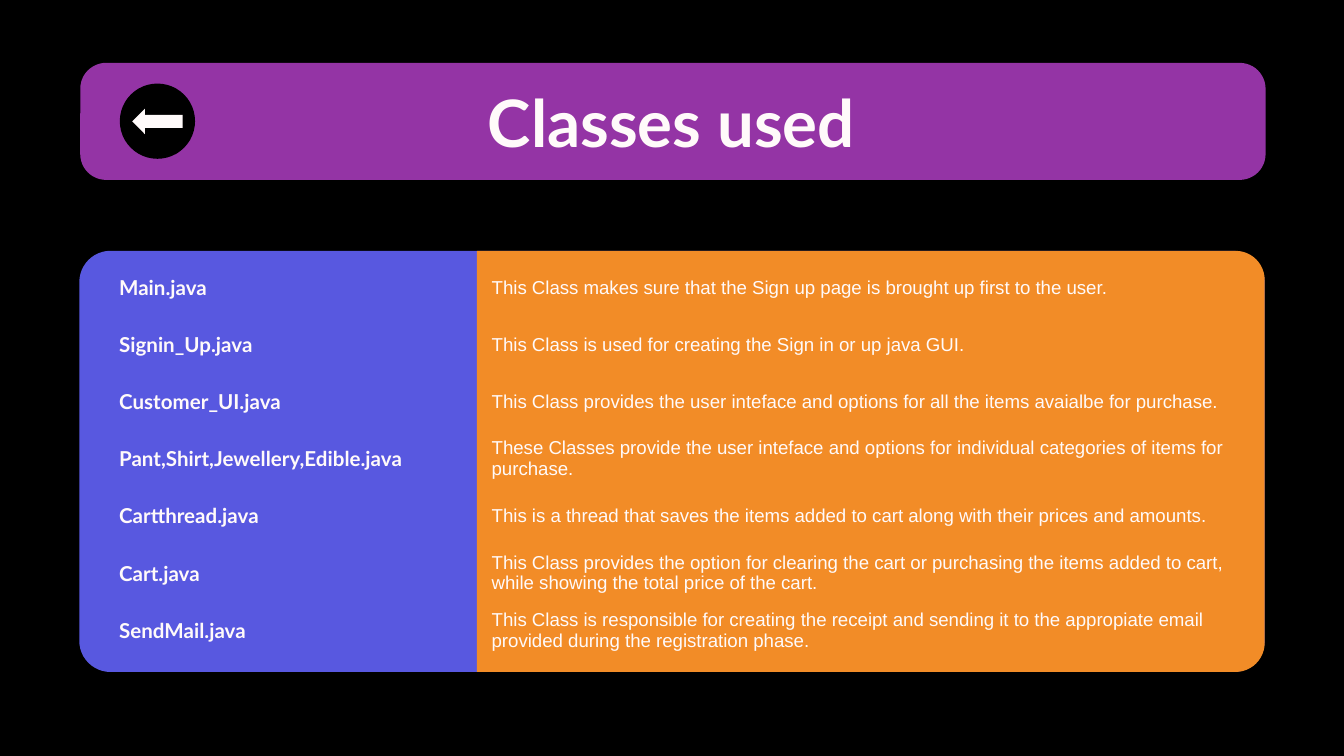
from pptx import Presentation
from pptx.dml.color import RGBColor
from pptx.enum.shapes import MSO_SHAPE as Shape
from pptx.enum.text import MSO_ANCHOR as Anchor, MSO_AUTO_SIZE as AutoSize, PP_ALIGN as Align
from pptx.oxml.ns import qn
from pptx.util import Pt

TITLE = "Classes used"
CLASSES = [
    ("Main.java",
     "This Class makes sure that the Sign up page is brought up first to the user."),
    ("Signin_Up.java",
     "This Class is used for creating the Sign in or up java GUI."),
    ("Customer_UI.java",
     "This Class provides the user inteface and options for all the items avaialbe for purchase."),
    ("Pant,Shirt,Jewellery,Edible.java",
     "These Classes provide the user inteface and options for individual categories of items for purchase."),
    ("Cartthread.java",
     "This is a thread that saves the items added to cart along with their prices and amounts."),
    ("Cart.java",
     "This Class provides the option for clearing the cart or purchasing the items added to cart, "
     "while showing the total price of the cart."),
]
MAIL_CLASS = [
    ("SendMail.java",
     "This Class is responsible for creating the receipt and sending it to the appropiate email "
     "provided during the registration phase."),
]

BLACK = RGBColor(0x00, 0x00, 0x00)
SNOW = RGBColor(0xFF, 0xFA, 0xFA)
PURPLE = RGBColor(0x94, 0x34, 0xA5)
BLUE = RGBColor(0x58, 0x58, 0xE0)
ORANGE = RGBColor(0xF2, 0x8C, 0x27)

TITLE_FONT = {"name": "Lato", "size": Pt(35), "bold": True}
COLUMN_FONTS = [
    {"name": "Lato", "size": Pt(11), "bold": True},
    {"name": "Arial", "size": Pt(10), "bold": False},
]
CELL_FORMAT = {"vertical_anchor": Anchor.MIDDLE, "margin_left": Pt(7.2),
               "margin_right": Pt(7.2), "margin_top": 0, "margin_bottom": 0}
TITLE_FRAME = {"word_wrap": True, "auto_size": AutoSize.NONE, "vertical_anchor": Anchor.TOP,
               "margin_left": Pt(7.2), "margin_right": Pt(7.2),
               "margin_top": Pt(7.2), "margin_bottom": Pt(7.2)}

PANEL_LEFT, PANEL_TOP, PANEL_WIDTH, PANEL_HEIGHT = 42.5, 134.4, 635, 225.6
DESCRIPTION_LEFT = 255.5
TABLE_LEFT, TABLE_TOP, ROW_HEIGHT = 56.6, 138.8, 30.6
COLUMN_WIDTHS = [199.6, 407]
NO_GRID_STYLE = "{2D5ABB26-0587-4C30-8999-92F81FD0307C}"


def set_format(target, values):
    for name, value in values.items():
        setattr(target, name, value)


def write(frame, text, font):
    frame.text = text
    run_font = frame.paragraphs[0].runs[0].font
    set_format(run_font, font)
    run_font.color.rgb = SNOW


def add_filled(shapes, kind, box, color, adjustments=()):
    shape = shapes.add_shape(kind, *map(Pt, box))
    shape.shadow.inherit = False
    shape.fill.solid()
    shape.fill.fore_color.rgb = color
    shape.line.fill.background()
    for index, value in enumerate(adjustments):
        shape.adjustments[index] = value
    return shape


def add_class_table(shapes, rows, top):
    """Add an unfilled, borderless table and return its bottom edge."""
    height = ROW_HEIGHT * len(rows)
    table = shapes.add_table(len(rows), len(COLUMN_WIDTHS), Pt(TABLE_LEFT), Pt(top),
                             Pt(sum(COLUMN_WIDTHS)), Pt(height)).table
    set_format(table, {"first_row": False, "horz_banding": False})
    table._tbl.tblPr.find(qn("a:tableStyleId")).text = NO_GRID_STYLE
    for column, width in zip(table.columns, COLUMN_WIDTHS):
        column.width = Pt(width)
    for r, row in enumerate(rows):
        table.rows[r].height = Pt(ROW_HEIGHT)
        for c, (text, font) in enumerate(zip(row, COLUMN_FONTS)):
            cell = table.cell(r, c)
            cell.fill.background()
            set_format(cell, CELL_FORMAT)
            write(cell.text_frame, text, font)
    return top + height


def main():
    deck = Presentation()
    set_format(deck, {"slide_width": Pt(720), "slide_height": Pt(405)})
    slide = deck.slides.add_slide(deck.slide_layouts[5])
    slide.background.fill.solid()
    slide.background.fill.fore_color.rgb = BLACK
    shapes = slide.shapes

    # Two-colour panel; the orange half is a top-rounded shape turned on its side
    panel = shapes.add_group_shape().shapes
    add_filled(panel, Shape.ROUNDED_RECTANGLE,
               (PANEL_LEFT, PANEL_TOP, PANEL_WIDTH, PANEL_HEIGHT), BLUE, [0.074])
    length = PANEL_LEFT + PANEL_WIDTH - DESCRIPTION_LEFT
    shift = (length - PANEL_HEIGHT) / 2
    descriptions = add_filled(panel, Shape.ROUND_2_SAME_RECTANGLE,
                              (DESCRIPTION_LEFT + shift, PANEL_TOP - shift, PANEL_HEIGHT, length),
                              ORANGE, [0.069, 0])
    descriptions.rotation = 90

    table_bottom = add_class_table(shapes, CLASSES, TABLE_TOP)

    add_filled(shapes, Shape.ROUNDED_RECTANGLE, (43, 33.7, 635, 62.7), PURPLE, [0.221])
    title = shapes.title
    set_format(title, {"left": Pt(106), "top": Pt(36.7), "width": Pt(507.6), "height": Pt(45.4)})
    set_format(title.text_frame, TITLE_FRAME)
    write(title.text_frame, TITLE, TITLE_FONT)
    title.text_frame.paragraphs[0].alignment = Align.CENTER
    shapes._spTree.append(title._element)  # bring the title in front of its banner

    back_button = shapes.add_group_shape().shapes
    add_filled(back_button, Shape.OVAL, (64.2, 44.8, 40.3, 40.3), BLACK)
    add_filled(back_button, Shape.LEFT_ARROW, (70.8, 58.2, 27, 13.7), SNOW, [0.5, 0.5])

    add_class_table(shapes, MAIL_CLASS, table_bottom)
    deck.save("out.pptx")


if __name__ == "__main__":
    main()
